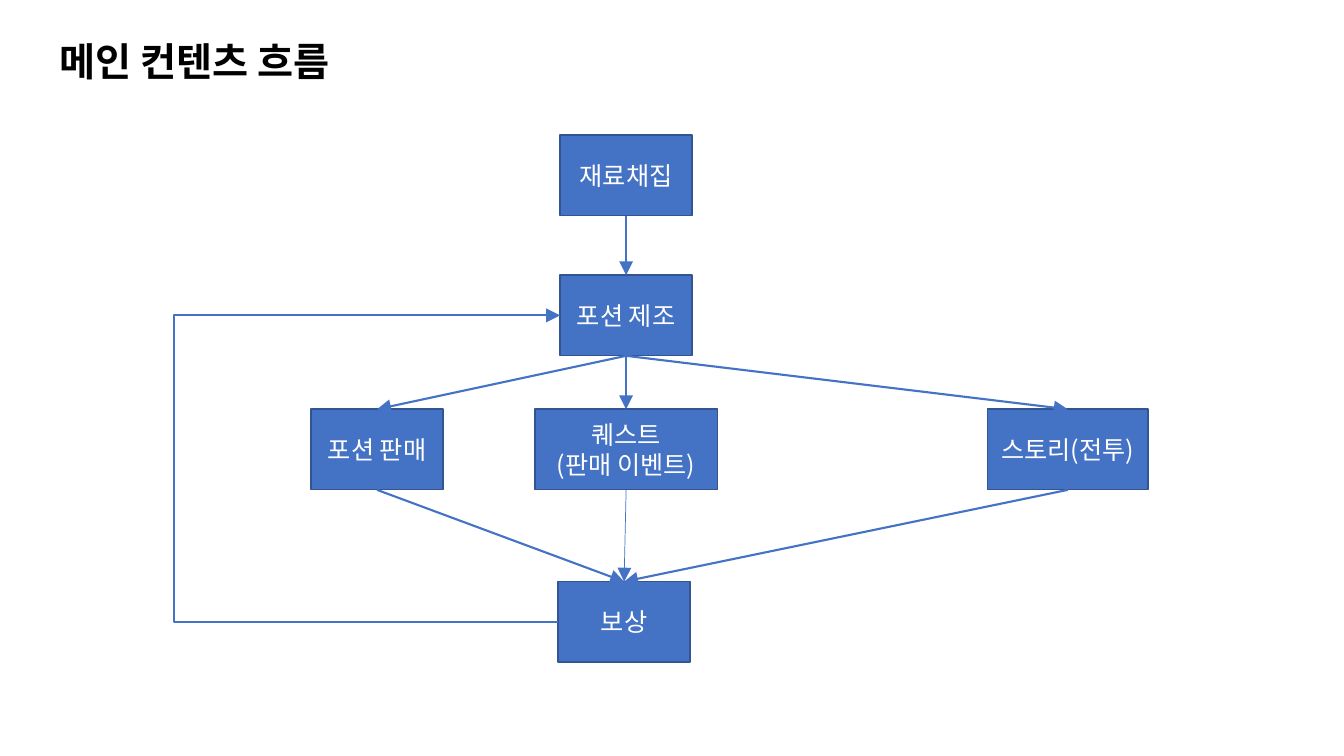
"""Build the slide that shows the main content flow of the game."""
from lxml.etree import SubElement
from pptx import Presentation
from pptx.dml.color import RGBColor
from pptx.enum.shapes import MSO_CONNECTOR, MSO_SHAPE
from pptx.enum.text import MSO_ANCHOR, MSO_AUTO_SIZE, PP_ALIGN
from pptx.oxml.ns import qn
from pptx.util import Inches, Pt

BLUE = RGBColor(0x44, 0x72, 0xC4)
NAVY = RGBColor(0x32, 0x54, 0x91)
WHITE = RGBColor(0xFF, 0xFF, 0xFF)
BLACK = RGBColor(0x00, 0x00, 0x00)
FONT = "Noto Sans CJK KR"

COLS = {"left": 3.74, "mid": 6.21, "end": 6.19, "right": 10.59}
ROWS = [1.34, 2.73, 4.06, 5.77]
WIDE, HIGH = 1.31, 0.8
LOOP = 1.74


def write(par, text, size, color, bold=False):
    run = par.add_run()
    run.text = text
    font = run.font
    font.name, font.size, font.bold = FONT, Pt(size), bold
    font.color.rgb = color
    SubElement(font._element, qn("a:ea"), typeface=FONT)


def join(kind, start, stop, width):
    link = slide.shapes.add_connector(kind, *start, *stop)
    link.line.color.rgb = BLUE
    link.line.width = Pt(width)
    SubElement(link.line._get_or_add_ln(), qn("a:tailEnd"),
               type="triangle", w="lg", len="lg")
    SubElement(link._element.spPr, qn("a:effectLst"))
    return link


deck = Presentation()
deck.slide_width, deck.slide_height = Inches(13.33), Inches(7.5)
slide = deck.slides.add_slide(deck.slide_layouts[5])

title = slide.shapes.title
title.left, title.top = Inches(0.49), Inches(0.32)
title.width, title.height = Inches(3.47), Inches(0.57)
frame = title.text_frame
frame.word_wrap = True
frame.auto_size = MSO_AUTO_SIZE.NONE
frame.vertical_anchor = MSO_ANCHOR.TOP
frame.paragraphs[0].alignment = PP_ALIGN.LEFT
write(frame.paragraphs[0], "메인 컨텐츠 흐름", 28, BLACK, True)

steps = [
    ("gather", "mid", 0, WIDE, ["재료채집"]),
    ("brew", "mid", 1, WIDE, ["포션 제조"]),
    ("sell", "left", 2, WIDE, ["포션 판매"]),
    ("quest", "mid", 2, 1.81, ["퀘스트", "(판매 이벤트)"]),
    ("story", "right", 2, 1.59, ["스토리(전투)"]),
    ("prize", "end", 3, WIDE, ["보상"]),
]
boxes = {}
for name, col, row, width, lines in steps:
    box = slide.shapes.add_shape(
        MSO_SHAPE.RECTANGLE, Inches(COLS[col] - width / 2), Inches(ROWS[row]),
        Inches(width), Inches(HIGH))
    box.shadow.inherit = False
    box.fill.solid()
    box.fill.fore_color.rgb = BLUE
    box.line.color.rgb = NAVY
    box.line.width = Pt(1)
    frame = box.text_frame
    frame.word_wrap = True
    frame.vertical_anchor = MSO_ANCHOR.MIDDLE
    for i, text in enumerate(lines):
        par = frame.add_paragraph() if i else frame.paragraphs[0]
        par.alignment = PP_ALIGN.CENTER
        write(par, text, 18, WHITE)
    boxes[name] = box

arrows = [
    ("gather", "brew", 1.5),
    ("brew", "sell", 1.5),
    ("brew", "story", 1.5),
    ("brew", "quest", 1.5),
    ("sell", "prize", 1.5),
    ("quest", "prize", 0.5),
    ("story", "prize", 1.5),
]
for start, stop, width in arrows:
    head, foot = boxes[start], boxes[stop]
    link = join(MSO_CONNECTOR.STRAIGHT,
                (head.left + head.width // 2, head.top + head.height),
                (foot.left + foot.width // 2, foot.top), width)
    link.begin_connect(head, 2)
    link.end_connect(foot, 0)

brew, prize = boxes["brew"], boxes["prize"]
back = join(MSO_CONNECTOR.ELBOW,
            (prize.left, prize.top + prize.height // 2),
            (brew.left, brew.top + brew.height // 2), 1.5)
bend = (Inches(LOOP) - prize.left) / (brew.left - prize.left)
guides = back._element.spPr.find(qn("a:prstGeom")).get_or_add_avLst()
SubElement(guides, qn("a:gd"), name="adj1", fmla=f"val {round(bend * 100000)}")

deck.save("out.pptx")
